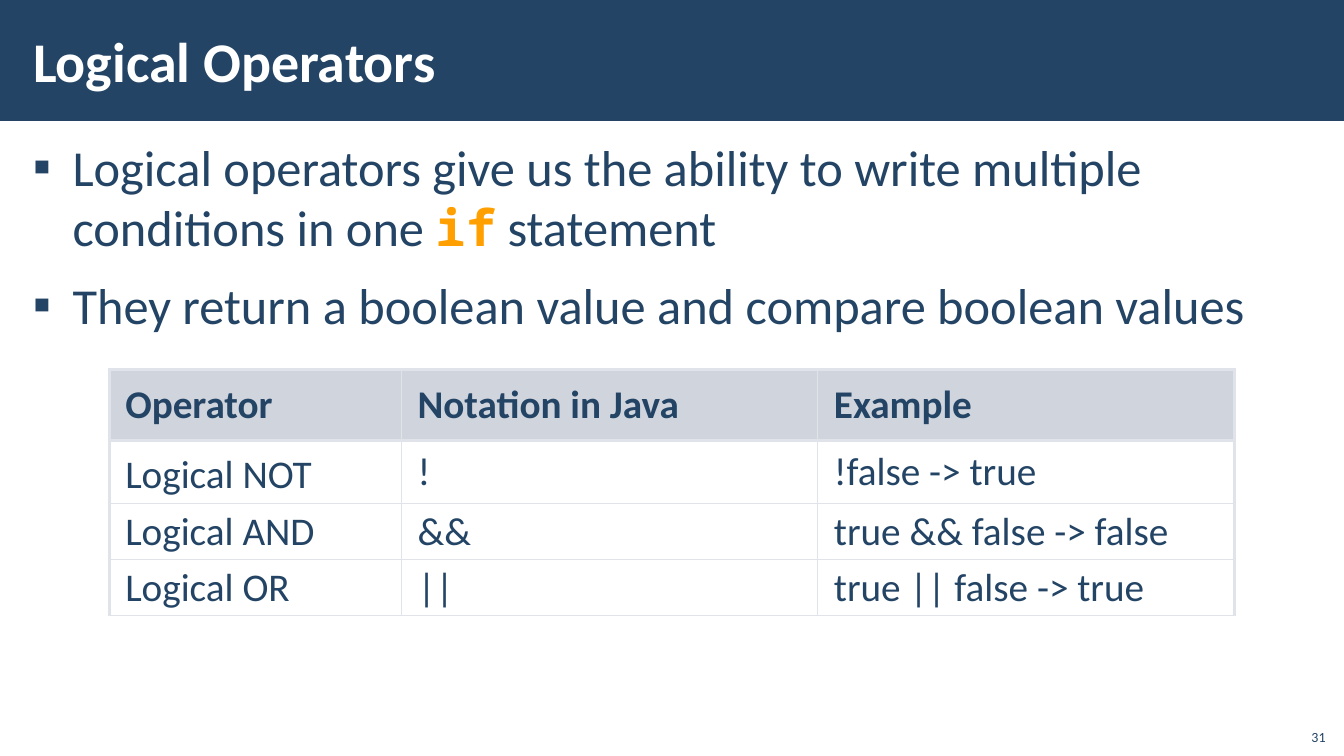
"""Build the slide on logical operators with its bullets and table."""
from dataclasses import dataclass

from lxml import etree
from pptx import Presentation
from pptx.dml.color import RGBColor
from pptx.enum import shapes, text
from pptx.oxml import ns
from pptx.util import Pt

NAVY = RGBColor(0x23, 0x44, 0x65)
WHITE = RGBColor(0xFF, 0xFF, 0xFF)
AMBER = RGBColor(0xFF, 0xA0, 0x00)
SLATE = RGBColor(0xA3, 0xAB, 0xBC)
MIST = RGBColor(0xE0, 0xE3, 0xE9)
THICK, THIN = Pt(2.25), Pt(1)


@dataclass(frozen=True)
class Box:
    left: float
    top: float
    width: float
    height: float

    def spots(self) -> list:
        return [Pt(n) for n in (self.left, self.top, self.width, self.height)]


@dataclass(frozen=True)
class Span:
    words: str
    size: float
    tint: RGBColor = NAVY
    bold: bool = False
    face: str = "Calibri"


BULLETS = [
    [
        [Span("Logical operators give us the ability to write multiple ", 36)],
        [
            Span("conditions in one ", 36),
            Span("if", 36, AMBER, True, "Noto Sans Mono"),
            Span(" statement", 36),
        ],
    ],
    [[Span("They return a boolean value and compare boolean values", 36)]],
]
ROWS = [
    ("Operator", "Notation in Java", "Example"),
    ("Logical NOT", "!", "!false -> true"),
    ("Logical AND", "&&", "true && false -> false"),
    ("Logical OR", "||", "true || false -> true"),
]
WIDTHS = (208.8, 297.4, 297.4)
HEIGHTS = (50.4, 45.2, 39.9, 39.9)


def add_span(para, span: Span) -> None:
    run = para.add_run()
    run.text = span.words
    font = run.font
    font.name, font.size, font.bold = span.face, Pt(span.size), span.bold
    font.color.rgb = span.tint


def set_frame(frame, side: float, edge: float, anchor) -> None:
    frame.word_wrap = True
    frame.auto_size = text.MSO_AUTO_SIZE.NONE
    frame.margin_left = frame.margin_right = Pt(side)
    frame.margin_top = frame.margin_bottom = Pt(edge)
    frame.vertical_anchor = anchor


def add_text(slide, box: Box, side: float, edge: float, anchor):
    frame = slide.shapes.add_textbox(*box.spots()).text_frame
    set_frame(frame, side, edge, anchor)
    return frame


def add_head(slide) -> None:
    title = slide.shapes.title
    title.left, title.top, title.width, title.height = Box(15.1, 7.9, 765.4, 69.8).spots()
    set_frame(title.text_frame, 8.6, 2.9, text.MSO_ANCHOR.MIDDLE)
    para = title.text_frame.paragraphs[0]
    para.alignment = text.PP_ALIGN.LEFT
    add_span(para, Span("Logical Operators", 40, WHITE, True))

    bar = slide.shapes.add_shape(shapes.MSO_SHAPE.RECTANGLE, *Box(0, 0, 960, 86.4).spots())
    bar.shadow.inherit = False
    bar.fill.solid()
    bar.fill.fore_color.rgb = NAVY
    bar.line.fill.background()
    title.element.addprevious(bar.element)


def add_points(slide) -> None:
    frame = add_text(slide, Box(15.1, 94.3, 930.2, 435.6), 8.6, 2.9, text.MSO_ANCHOR.TOP)
    for rank, lines in enumerate(BULLETS):
        para = frame.add_paragraph() if rank else frame.paragraphs[0]
        para.space_before = para.space_after = Pt(6)
        props = para._p.get_or_add_pPr()
        props.set("marL", str(Pt(28.1)))
        props.set("indent", str(-Pt(28.1)))
        etree.SubElement(props, ns.qn("a:buFont"), typeface="Calibri")
        etree.SubElement(props, ns.qn("a:buChar"), char="▪")
        for place, spans in enumerate(lines):
            if place:
                para.add_line_break()
            for span in spans:
                add_span(para, span)


def set_edge(cell, side: str, width: int) -> None:
    props = cell._tc.get_or_add_tcPr()
    line = etree.SubElement(props, ns.qn(f"a:ln{side}"), w=str(width))
    fill = etree.SubElement(line, ns.qn("a:solidFill"))
    etree.SubElement(fill, ns.qn("a:srgbClr"), val=str(MIST))


def fill_cell(cell, row: int, col: int) -> None:
    cell.margin_left = cell.margin_right = Pt(11.5)
    cell.margin_top = cell.margin_bottom = Pt(3.6)
    cell.vertical_anchor = text.MSO_ANCHOR.MIDDLE
    para = cell.text_frame.paragraphs[0]
    para.line_spacing = Pt(38) if (row, col) == (1, 0) else 0.95
    add_span(para, Span(ROWS[row][col], 28, bold=row == 0))

    set_edge(cell, "L", THICK if col == 0 else THIN)
    set_edge(cell, "R", THICK if col == len(WIDTHS) - 1 else THIN)
    set_edge(cell, "T", THICK if row < 2 else THIN)
    set_edge(cell, "B", THICK if row == 0 else THIN)
    if row:
        cell.fill.background()
        return
    cell.fill.solid()
    cell.fill.fore_color.rgb = SLATE
    shade = cell._tc.tcPr.find(f"{ns.qn('a:solidFill')}/{ns.qn('a:srgbClr')}")
    etree.SubElement(shade, ns.qn("a:alpha"), val="50000")


def add_grid(slide) -> None:
    box = Box(78, 264.2, sum(WIDTHS), sum(HEIGHTS))
    grid = slide.shapes.add_table(len(ROWS), len(WIDTHS), *box.spots()).table
    grid.first_row = True
    grid.horz_banding = False
    for col, width in enumerate(WIDTHS):
        grid.columns[col].width = Pt(width)
    for row, height in enumerate(HEIGHTS):
        grid.rows[row].height = Pt(height)
        for col in range(len(WIDTHS)):
            fill_cell(grid.cell(row, col), row, col)


def add_number(slide) -> None:
    frame = add_text(slide, Box(925.2, 512.6, 28.8, 23), 7.2, 3.6, text.MSO_ANCHOR.BOTTOM)
    para = frame.paragraphs[0]
    para.alignment = text.PP_ALIGN.RIGHT
    add_span(para, Span("31", 10))


def main() -> None:
    deck = Presentation()
    deck.slide_width, deck.slide_height = Pt(960), Pt(540)
    slide = deck.slides.add_slide(deck.slide_layouts[5])
    add_head(slide)
    add_points(slide)
    add_grid(slide)
    add_number(slide)
    deck.save("out.pptx")


if __name__ == "__main__":
    main()
